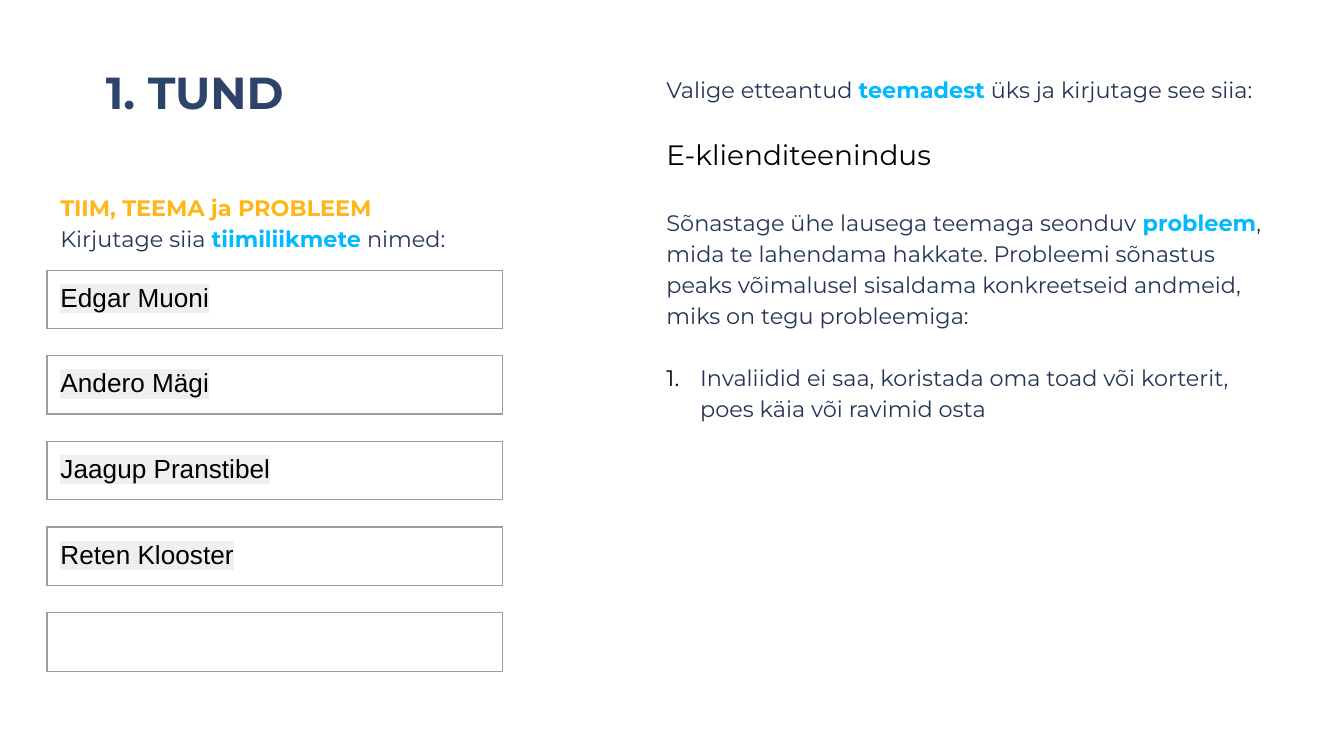
from dataclasses import dataclass

from lxml.etree import SubElement
from pptx import Presentation
from pptx.dml.color import RGBColor as RGB
from pptx.enum.text import MSO_ANCHOR as Anchor
from pptx.oxml.ns import qn
from pptx.util import Pt


@dataclass(frozen=True)
class Theme:
    heading: str = "2E4369"
    text: str = "253655"
    accent: str = "00B9FF"
    section: str = "FFB619"
    black: str = "000000"
    border: str = "9E9E9E"
    highlight: str = "EFEFEF"
    body_font: str = "Montserrat"
    cell_font: str = "Arial"
    title_size: float = 24
    answer_size: float = 15
    cell_size: float = 14
    body_size: float = 12
    inset: float = 7.2
    line_spacing: float = 1.15


THEME = Theme()
TITLE = dict(size=THEME.title_size, color=THEME.heading, bold=True)
PLAIN = dict(size=THEME.body_size, color=THEME.text, bold=False)
STRONG = dict(PLAIN, color=THEME.accent, bold=True)
SECTION = dict(PLAIN, color=THEME.section, bold=True)
ANSWER = dict(PLAIN, size=THEME.answer_size, color=THEME.black)
MEMBER = dict(size=THEME.cell_size, color=THEME.black, name=THEME.cell_font)
SPACED = dict(line_spacing=THEME.line_spacing)
SINGLE = dict(line_spacing=1.0)


def set_all(target, values):
    for name, value in values.items():
        setattr(target, name, value)


class SlideBuilder:
    def __init__(self, page, theme):
        self.page = page
        self.theme = theme

    def span(self, para, text, values):
        span = para.add_run()
        span.text = text
        values = dict(dict(name=self.theme.body_font), **values)
        span.font.color.rgb = RGB.from_string(values.pop("color"))
        values["size"] = Pt(values["size"])
        set_all(span.font, values)
        return span

    def text(self, left, top, width, height, paragraphs):
        box = self.page.shapes.add_textbox(Pt(left), Pt(top), Pt(width), Pt(height))
        frame = box.text_frame
        frame.word_wrap = True
        for side in ("left", "top", "right", "bottom"):
            setattr(frame, f"margin_{side}", Pt(self.theme.inset))
        for index, (values, spans) in enumerate(paragraphs):
            para = frame.add_paragraph() if index else frame.paragraphs[0]
            set_all(para, values)
            for content, style in spans:
                self.span(para, content, style)
        return frame

    def number(self, para, indent):
        props = para._p.get_or_add_pPr()
        props.set("marL", str(Pt(indent)))
        props.set("indent", str(-Pt(indent)))
        color = SubElement(props, qn("a:buClr"))
        SubElement(color, qn("a:srgbClr"), val=self.theme.black)
        SubElement(props, qn("a:buFont"), typeface=self.theme.body_font)
        SubElement(props, qn("a:buAutoNum"), type="arabicPeriod")

    def highlight(self, span):
        props = span.font._element
        mark = SubElement(props, qn("a:highlight"))
        SubElement(mark, qn("a:srgbClr"), val=self.theme.highlight)
        props.find(qn("a:solidFill")).addnext(mark)

    def borders(self, cell):
        props = cell._tc.get_or_add_tcPr()
        for index, side in enumerate("LRTB"):
            line = SubElement(props, qn(f"a:ln{side}"), w=str(Pt(0.75)))
            fill = SubElement(line, qn("a:solidFill"))
            SubElement(fill, qn("a:srgbClr"), val=self.theme.border)
            props.insert(index, line)

    def field(self, left, top, width, height, text):
        table = self.page.shapes.add_table(
            1, 1, Pt(left), Pt(top), Pt(width), Pt(height)
        ).table
        set_all(table, dict(first_row=False, horz_banding=False))
        cell = table.cell(0, 0)
        cell.fill.background()
        cell.vertical_anchor = Anchor.TOP
        for side in ("left", "top", "right", "bottom"):
            setattr(cell, f"margin_{side}", Pt(self.theme.inset))
        self.borders(cell)
        para = cell.text_frame.paragraphs[0]
        if text:
            self.highlight(self.span(para, text, MEMBER))
        else:
            size = str(int(self.theme.cell_size * 100))
            SubElement(para._p, qn("a:endParaRPr"), sz=size)


def main():
    deck = Presentation()
    set_all(deck, dict(slide_width=Pt(720), slide_height=Pt(405)))
    page = deck.slides.add_slide(deck.slide_layouts[6])
    builder = SlideBuilder(page, THEME)

    builder.text(49.7, 27.4, 465, 41.8, [(SINGLE, [("1. TUND", TITLE)])])
    builder.text(25.2, 94.5, 286.5, 265.5, [
        (SPACED, [("TIIM, TEEMA ja PROBLEEM", SECTION)]),
        (SPACED, [
            ("Kirjutage siia ", PLAIN),
            ("tiimiliikmete", STRONG),
            (" nimed:", PLAIN),
        ]),
    ])

    task = builder.text(350, 31.7, 340.5, 270, [
        (SPACED, [
            ("Valige etteantud ", PLAIN),
            ("teemadest", STRONG),
            (" üks ja kirjutage see siia:", PLAIN),
        ]),
        (dict(SINGLE, space_before=Pt(18.3)), [("E-klienditeenindus", ANSWER)]),
        (dict(SPACED, space_before=Pt(18.3)), [
            ("Sõnastage ühe lausega teemaga seonduv ", PLAIN),
            ("probleem", STRONG),
            (", mida te lahendama hakkate. Probleemi sõnastus peaks võimalusel "
             "sisaldama konkreetseid andmeid, miks on tegu probleemiga:", PLAIN),
        ]),
        (dict(SPACED, space_before=Pt(16.8)), [
            ("Invaliidid ei saa, koristada oma toad või korterit, "
             "poes käia või ravimid osta", PLAIN),
        ]),
    ])
    builder.number(task.paragraphs[-1], 18)

    members = ["Edgar Muoni", "Andero Mägi", "Jaagup Pranstibel", "Reten Klooster", ""]
    for index, member in enumerate(members):
        builder.field(25.2, 144.7 + index * 45.9, 244, 30.6, member)

    deck.save("out.pptx")


if __name__ == "__main__":
    main()
